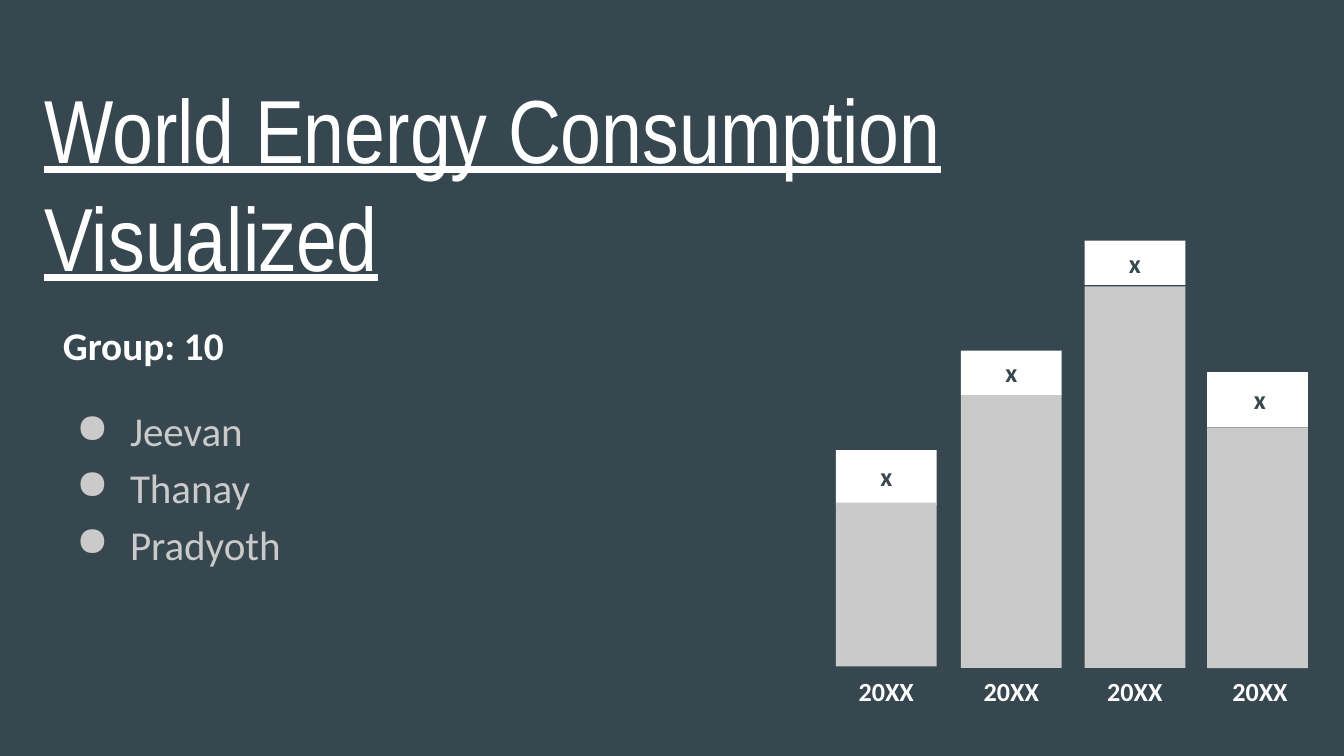
from pptx import Presentation
from pptx.dml.color import RGBColor
from pptx.enum import shapes, text
from pptx.oxml import xmlchemy as xml
from pptx.util import Pt

COLORS = {"slate": "37474F", "white": "FFFFFF", "grey": "CACACA"}
BAR_WIDTH = 54
LABEL_HEIGHT = 24.5
YEAR_TOP = 357.8

# Bar left, label left, cap top, cap height, cap label top, body top, body height
BARS = [
    (447.8, 447.8, 241.2, 29.5, 242.6, 269.3, 87.8),
    (514.8, 514.8, 187.9, 23.8, 187.2, 211.7, 146.2),
    (581.0, 581.0, 128.9, 23.8, 128.9, 153.4, 204.5),
    (646.6, 648.0, 199.4, 29.5, 201.6, 229.0, 128.9),
]
MEMBERS = ["Jeevan", "Thanay", "Pradyoth"]


def color(name):
    return RGBColor.from_string(COLORS[name])


def add_frame(slide, left, top, width, height):
    box = slide.shapes.add_textbox(Pt(left), Pt(top), Pt(width), Pt(height))
    frame = box.text_frame
    frame.word_wrap = True
    frame.margin_left = frame.margin_right = Pt(7.2)
    frame.margin_top = frame.margin_bottom = Pt(7.2)
    return frame


def write(paragraph, words, size, tint, font="Calibri", bold=False):
    paragraph.text = words
    style = paragraph.runs[0].font
    style.name, style.size, style.bold = font, Pt(size), bold
    style.color.rgb = color(tint)
    return style


def add_bullet(paragraph, tint):
    props = paragraph._p.get_or_add_pPr()
    props.set("marL", str(Pt(36)))
    props.set("indent", str(-Pt(28.8)))
    bullet_color = xml.OxmlElement("a:buClr")
    rgb = xml.OxmlElement("a:srgbClr")
    rgb.set("val", COLORS[tint])
    bullet_color.append(rgb)
    bullet = xml.OxmlElement("a:buChar")
    bullet.set("char", "●")
    props.extend([bullet_color, bullet])


def add_block(slide, left, top, height, tint):
    block = slide.shapes.add_shape(shapes.MSO_SHAPE.RECTANGLE, Pt(left), Pt(top),
                                   Pt(BAR_WIDTH), Pt(height))
    block.shadow.inherit = False
    block.fill.solid()
    block.fill.fore_color.rgb = color(tint)
    block.line.fill.background()


def add_label(slide, left, top, words, tint):
    frame = add_frame(slide, left, top, BAR_WIDTH, LABEL_HEIGHT)
    frame.vertical_anchor = text.MSO_ANCHOR.MIDDLE
    label = frame.paragraphs[0]
    label.alignment = text.PP_ALIGN.CENTER
    write(label, words, 14, tint, bold=True)


def add_title(slide):
    frame = add_frame(slide, 16.6, 32.4, 670.3, 82.8)
    style = write(frame.paragraphs[0], "World Energy Consumption Visualized", 48,
                  "white", font="Arial Narrow")
    style.underline = True


def add_group(slide):
    frame = add_frame(slide, 26.6, 161.3, 285.8, 199.4)
    heading = frame.paragraphs[0]
    heading.line_spacing = 1.15
    write(heading, "Group: 10", 21, "white", bold=True)
    for index, name in enumerate(MEMBERS):
        member = frame.add_paragraph()
        member.line_spacing = 1.15
        member.space_before = Pt(0 if index else 16)
        write(member, name, 22, "grey")
        add_bullet(member, "grey")


def add_bar(slide, left, label_left, cap_top, cap_height, label_top, body_top, body_height):
    add_label(slide, label_left, YEAR_TOP, "20XX", "white")
    add_block(slide, left, cap_top, cap_height, "white")
    add_label(slide, label_left, label_top, "x", "slate")
    add_block(slide, left, body_top, body_height, "grey")


def main():
    deck = Presentation()
    deck.slide_width, deck.slide_height = Pt(720), Pt(405)
    slide = deck.slides.add_slide(deck.slide_layouts[6])
    slide.background.fill.solid()
    slide.background.fill.fore_color.rgb = color("slate")

    # Title and group members
    add_title(slide)
    add_group(slide)

    # Bars with caps and years
    for bar in BARS:
        add_bar(slide, *bar)

    deck.save("out.pptx")


if __name__ == "__main__":
    main()
